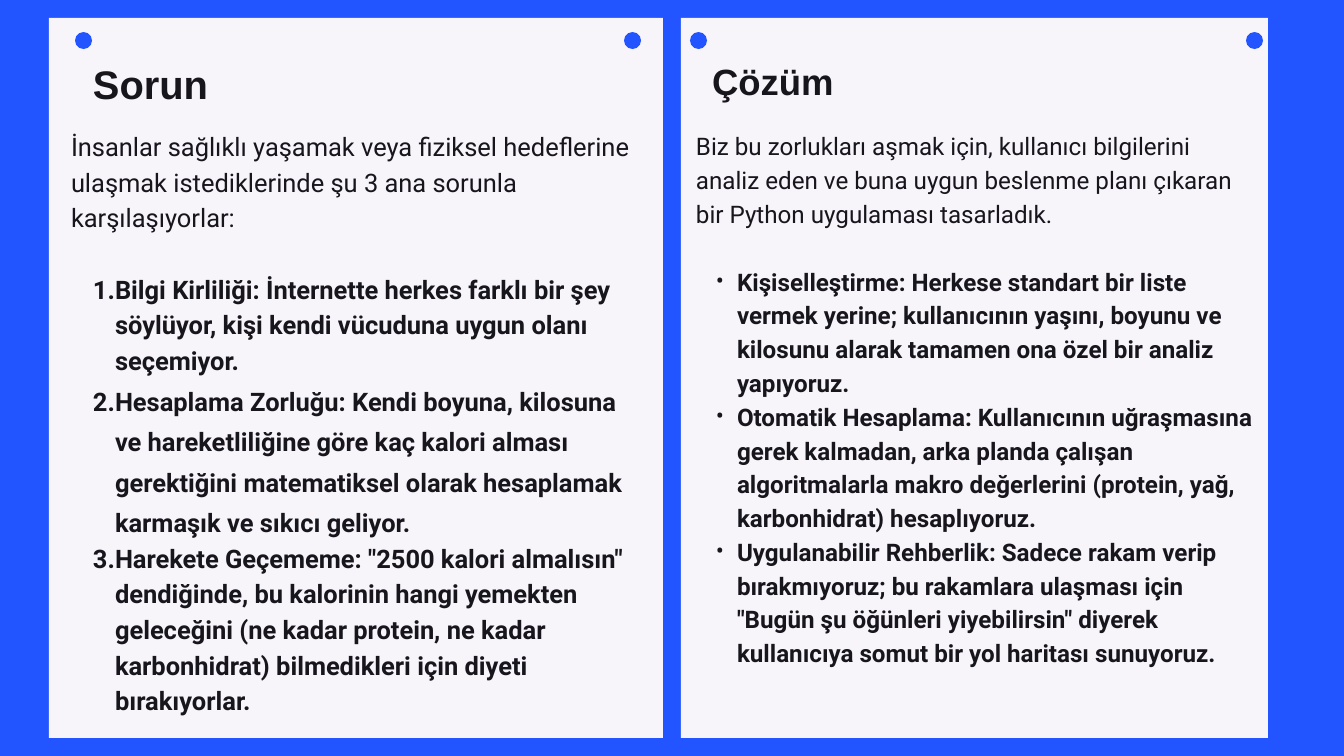
"""Builds a two-panel slide comparing the problem (Sorun) with the solution (Çözüm)."""
from lxml.etree import SubElement
from pptx import Presentation
from pptx.dml.color import RGBColor
from pptx.enum.shapes import MSO_SHAPE
from pptx.enum.text import MSO_ANCHOR, MSO_AUTO_SIZE, PP_ALIGN
from pptx.oxml.ns import qn
from pptx.util import Emu, Pt

BLUE = RGBColor(0x22, 0x55, 0xFF)
PAPER = RGBColor(0xF7, 0xF4, 0xFA)
INK = RGBColor(0x17, 0x16, 0x1C)
PX_PER_INCH = 67.2
DOT_SIZE, DOT_TOP = 17, 32

PANELS = [
    {
        "panel": (49, 18, 614, 720),
        "dots": (75, 624),
        "title": "Sorun",
        "title_placeholder": 0,
        "title_box": (93, 52, 227, 52),
        "title_size": 42.7,
        "title_spacing": 59.8,
        "body_placeholder": 2,
        "body_box": (71, 126, 562, 622),
        "body_size": 27.3,
        "body_spacing": 38.2,
        "indent": (44, -22),
        "bullet": ("a:buAutoNum", {"type": "arabicPeriod"}),
        "intro": "İnsanlar sağlıklı yaşamak veya fiziksel hedeflerine ulaşmak "
                 "istediklerinde şu 3 ana sorunla karşılaşıyorlar:",
        "items": [
            ("Bilgi Kirliliği: İnternette herkes farklı bir şey söylüyor, kişi kendi "
             "vücuduna uygun olanı seçemiyor.", 38.2),
            ("Hesaplama Zorluğu: Kendi boyuna, kilosuna ve hareketliliğine göre kaç kalori "
             "alması gerektiğini matematiksel olarak hesaplamak karmaşık ve sıkıcı geliyor.", 43.4),
            ("Harekete Geçememe: \"2500 kalori almalısın\" dendiğinde, bu kalorinin hangi "
             "yemekten geleceğini (ne kadar protein, ne kadar karbonhidrat) bilmedikleri "
             "için diyeti bırakıyorlar.", 38.2),
        ],
    },
    {
        "panel": (681, 18, 587, 720),
        "dots": (690, 1246),
        "title": "Çözüm",
        "title_placeholder": 3,
        "title_box": (712, 52, 292, 48),
        "title_size": 39.1,
        "title_spacing": 54.7,
        "body_placeholder": 4,
        "body_box": (696, 127, 558, 570),
        "body_size": 25.9,
        "body_spacing": 36.2,
        "indent": (41, -21),
        "bullet": ("a:buChar", {"char": "•"}),
        "intro": "Biz bu zorlukları aşmak için, kullanıcı bilgilerini analiz eden ve buna "
                 "uygun beslenme planı çıkaran bir Python uygulaması tasarladık.",
        "items": [
            ("Kişiselleştirme: Herkese standart bir liste vermek yerine; kullanıcının yaşını, "
             "boyunu ve kilosunu alarak tamamen ona özel bir analiz yapıyoruz.", 36.2),
            ("Otomatik Hesaplama: Kullanıcının uğraşmasına gerek kalmadan, arka planda çalışan "
             "algoritmalarla makro değerlerini (protein, yağ, karbonhidrat) hesaplıyoruz.", 36.2),
            ("Uygulanabilir Rehberlik: Sadece rakam verip bırakmıyoruz; bu rakamlara ulaşması "
             "için \"Bugün şu öğünleri yiyebilirsin\" diyerek kullanıcıya somut bir yol "
             "haritası sunuyoruz.", 36.2),
        ],
    },
]


def px(length):
    return Emu(round(length * 914400 / PX_PER_INCH))


def add_filled(page, kind, bounds, color):
    shape = page.shapes.add_shape(kind, *map(px, bounds))
    shape.shadow.inherit = False
    shape.fill.solid()
    shape.fill.fore_color.rgb = color
    shape.line.fill.background()
    return shape


def prepare_frame(box, bounds):
    box.left, box.top, box.width, box.height = map(px, bounds)
    frame = box.text_frame
    frame.margin_left = frame.margin_top = frame.margin_right = frame.margin_bottom = 0
    frame.word_wrap = True
    frame.auto_size = MSO_AUTO_SIZE.NONE
    frame.vertical_anchor = MSO_ANCHOR.TOP
    return frame


def write(para, text, font, size, spacing, bold=False, indent=(0, 0),
          bullet=("a:buNone", {}), before=0):
    para.text = text
    properties = para._p.get_or_add_pPr()
    properties.set("marL", str(px(indent[0])))
    properties.set("indent", str(px(indent[1])))
    SubElement(properties, qn("a:buFont"), typeface=font)
    SubElement(properties, qn(bullet[0]), **bullet[1])
    para.alignment = PP_ALIGN.LEFT
    para.line_spacing = Pt(spacing)
    para.space_before = Pt(before)
    para.space_after = Pt(0)
    for span in para.runs:
        span.font.name = font
        span.font.size = Pt(size)
        span.font.bold = bold
        span.font.color.rgb = INK


def fill_panel(page, content):
    boxes = {box.placeholder_format.idx: box for box in page.placeholders}
    title = prepare_frame(boxes[content["title_placeholder"]], content["title_box"])
    write(title.paragraphs[0], content["title"], "Arial", content["title_size"],
          content["title_spacing"], bold=True)

    body = prepare_frame(boxes[content["body_placeholder"]], content["body_box"])
    size, gap = content["body_size"], content["body_spacing"]
    write(body.paragraphs[0], content["intro"], "Roboto", size, gap)
    for number, (text, spacing) in enumerate(content["items"]):
        para = body.add_paragraph()
        para.level = 1
        write(para, text, "Roboto", size, spacing, bold=True, indent=content["indent"],
              bullet=content["bullet"], before=0 if number else gap)


def main():
    deck = Presentation()
    deck.slide_width, deck.slide_height = px(1344), px(756)
    page = deck.slides.add_slide(deck.slide_layouts.get_by_name("Comparison"))
    page.background.fill.solid()
    page.background.fill.fore_color.rgb = BLUE

    used = {content[key] for content in PANELS
            for key in ("title_placeholder", "body_placeholder")}
    for box in list(page.placeholders):
        if box.placeholder_format.idx not in used:
            box.element.getparent().remove(box.element)

    for content in PANELS:
        panel = add_filled(page, MSO_SHAPE.RECTANGLE, content["panel"], PAPER)
        page.shapes._spTree.insert(2, panel.element)
        for left in content["dots"]:
            add_filled(page, MSO_SHAPE.OVAL, (left, DOT_TOP, DOT_SIZE, DOT_SIZE), BLUE)
        fill_panel(page, content)
    deck.save("out.pptx")


if __name__ == "__main__":
    main()
